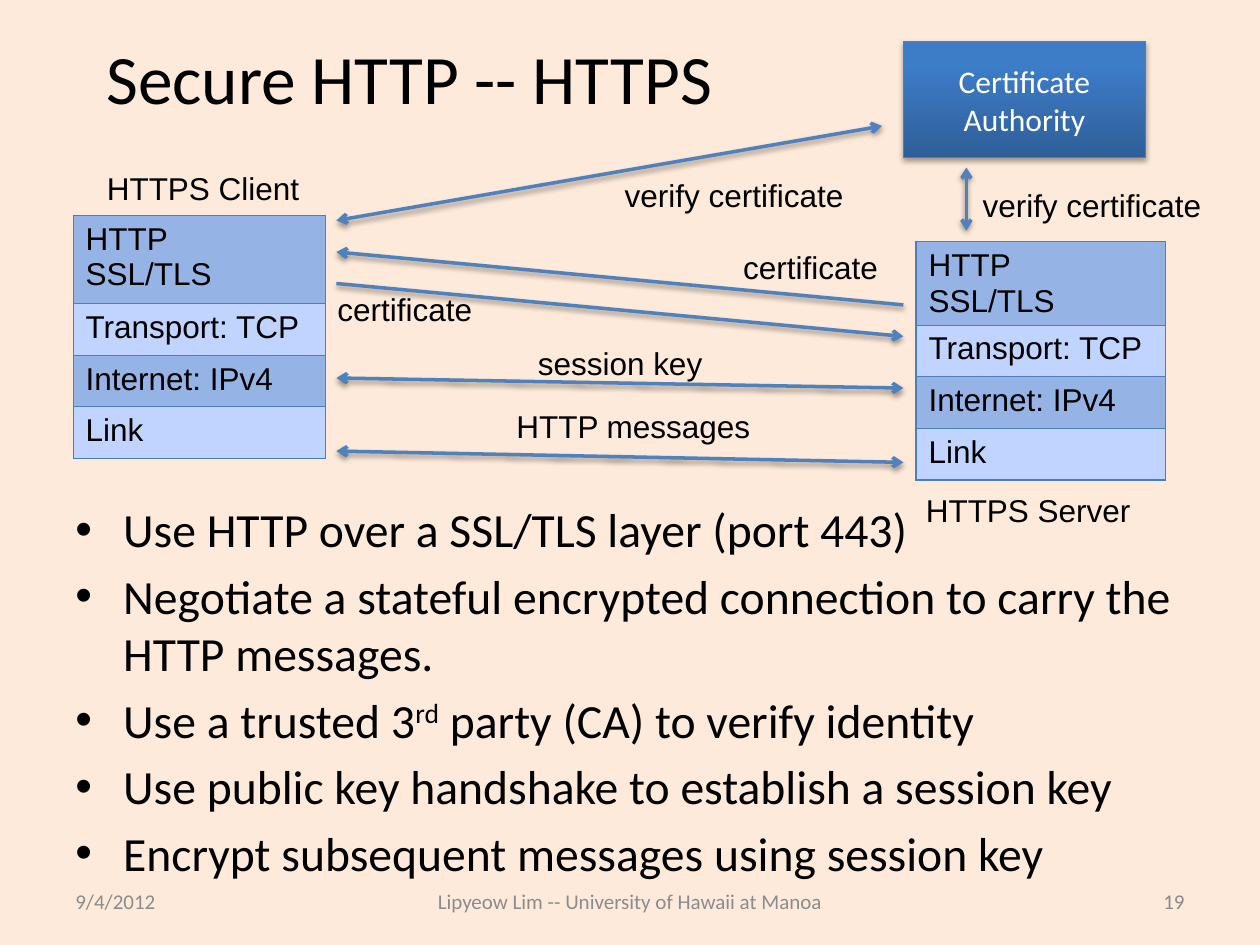
"""Build the slide on secure HTTP with its handshake diagram."""
from lxml import etree
from pptx import Presentation
from pptx.dml.color import RGBColor
from pptx.enum.shapes import MSO_CONNECTOR, MSO_SHAPE
from pptx.enum.text import MSO_ANCHOR, PP_ALIGN
from pptx.oxml import parse_xml
from pptx.oxml.ns import nsdecls, qn
from pptx.util import Inches, Pt

LEFT, CENTER, RIGHT = PP_ALIGN.LEFT, PP_ALIGN.CENTER, PP_ALIGN.RIGHT
TOP, MIDDLE = MSO_ANCHOR.TOP, MSO_ANCHOR.MIDDLE
STRAIGHT, RECT = MSO_CONNECTOR.STRAIGHT, MSO_SHAPE.RECTANGLE
BLUE, EDGE, GREY = "4F81BD", "4B7EBC", "8C8C8C"
BANDS = ["95B3E4", "C0D4FF"]
rgb = RGBColor.from_string


def write(tf, text, size=18, font="Arial", color="000000", align=LEFT,
          anchor=TOP, wrap=True, bullet=False):
    """Write one paragraph a line; text between bars is superscript."""
    tf.word_wrap = wrap
    tf.vertical_anchor = anchor
    for i, line in enumerate(text.split("\n")):
        p = tf.paragraphs[0] if i == 0 else tf.add_paragraph()
        p.alignment = align
        if bullet:
            pPr = p._p.get_or_add_pPr()
            pPr.set("marL", str(Inches(0.38)))
            pPr.set("indent", str(-Inches(0.38)))
            etree.SubElement(pPr, qn("a:buFont"), typeface="Arial")
            etree.SubElement(pPr, qn("a:buChar"), char="•")
            if i:
                p.space_before = Pt(size * 0.2)
        for j, part in enumerate(line.split("|")):
            r = p.add_run()
            r.text = part
            r.font.size = Pt(size)
            r.font.name = font
            r.font.color.rgb = rgb(color)
            if j % 2:
                r.font._element.set("baseline", "30000")


def add_shadow(sp, dist, alpha):
    """Give a shape or connector a soft shadow straight below it."""
    sp._element.spPr.append(parse_xml(
        f'<a:effectLst {nsdecls("a")}><a:outerShdw blurRad="{Pt(3.1)}" '
        f'dist="{Pt(dist)}" dir="5400000" rotWithShape="0"><a:srgbClr val="000000">'
        f'<a:alpha val="{alpha * 1000}"/></a:srgbClr></a:outerShdw></a:effectLst>'))


prs = Presentation()
prs.slide_width, prs.slide_height = Inches(10), Inches(7.5)
s = prs.slides.add_slide(prs.slide_layouts[6])
s.background.fill.solid()
s.background.fill.fore_color.rgb = rgb("FDEADA")

bullets = "\n".join([
    "Use HTTP over a SSL/TLS layer (port 443)",
    "Negotiate a stateful encrypted connection to carry the HTTP messages.",
    "Use a trusted 3|rd| party (CA) to verify identity",
    "Use public key handshake to establish a session key",
    "Encrypt subsequent messages using session key",
])
footer = dict(size=12, font="Calibri", color=GREY, anchor=MIDDLE)
label = dict(wrap=False)
texts = [
    (0.5, 0.3, 5.5, 0.62, "Secure HTTP -- HTTPS",
     dict(size=39.6, font="Calibri", align=CENTER, anchor=MIDDLE)),
    (0.5, 3.92, 9, 3, bullets, dict(size=27.2, font="Calibri", bullet=True)),
    (0.5, 6.95, 2.33, 0.4, "9/4/2012", footer),
    (3, 6.95, 4, 0.4, "Lipyeow Lim -- University of Hawaii at Manoa",
     dict(footer, align=CENTER)),
    (7.17, 6.95, 2.33, 0.4, "19", dict(footer, color="898989", align=RIGHT)),
    (7.25, 3.85, 1.84, 0.4, "HTTPS Server", label),
    (0.75, 1.29, 1.74, 0.4, "HTTPS Client", label),
    (5.8, 1.92, 1.28, 0.4, "certificate", label),
    (2.58, 2.25, 1.28, 0.4, "certificate", label),
    (4.17, 2.68, 1.52, 0.4, "session key", label),
    (4.86, 1.35, 1.97, 0.4, "verify certificate", label),
    (7.7, 1.43, 1.97, 0.4, "verify certificate", label),
    (4, 3.18, 2.08, 0.4, "HTTP messages", label),
]

layers = ["HTTP\nSSL/TLS", "Transport: TCP", "Internet: IPv4", "Link"]
for x, y, w, first_height in [(7.27, 1.92, 1.98, 0.66), (0.58, 1.71, 2, 0.7)]:
    heights = [first_height] + [0.41] * 3
    tbl = s.shapes.add_table(len(layers), 1, Inches(x), Inches(y), Inches(w),
                             Inches(sum(heights))).table
    tbl.first_row = tbl.horz_banding = False
    for i, layer in enumerate(layers):
        tbl.rows[i].height = Inches(heights[i])
        cell = tbl.cell(i, 0)
        write(cell.text_frame, layer)
        cell.fill.solid()
        cell.fill.fore_color.rgb = rgb(BANDS[i % 2])
        for k, side in enumerate(["lnL", "lnR", "lnT", "lnB"]):
            cell._tc.tcPr.insert(k, parse_xml(
                f'<a:{side} {nsdecls("a")} w="{Pt(0.75)}"><a:solidFill>'
                f'<a:srgbClr val="{EDGE}"/></a:solidFill></a:{side}>'))

sp = s.shapes.add_shape(RECT, Inches(7.17), Inches(0.33), Inches(1.92), Inches(0.92))
sp.fill.gradient()
sp.fill.gradient_angle = 90
for stop, position, color in zip(sp.fill.gradient_stops, [0, 0.8], ["2F5F99", "3D7CC7"]):
    stop.position = position
    stop.color.rgb = rgb(color)
sp.line.color.rgb = rgb(EDGE)
sp.line.width = Pt(0.75)
add_shadow(sp, 1.8, 35)
write(sp.text_frame, "Certificate Authority", font="Calibri", color="FFFFFF",
      align=CENTER, anchor=MIDDLE)

one_way, two_way = ["tailEnd"], ["headEnd", "tailEnd"]
arrows = [
    (7.17, 2.42, 2.67, 2, one_way),
    (2.67, 2.25, 7.17, 2.67, one_way),
    (2.67, 1.75, 7, 1, two_way),
    (7.67, 1.33, 7.67, 1.83, two_way),
    (2.67, 3, 7.17, 3.08, two_way),
    (2.67, 3.58, 7.17, 3.67, two_way),
]
for x1, y1, x2, y2, ends in arrows:
    cxn = s.shapes.add_connector(STRAIGHT, Inches(x1), Inches(y1), Inches(x2), Inches(y2))
    cxn.line.color.rgb = rgb(BLUE)
    cxn.line.width = Pt(2)
    for end in ends:
        etree.SubElement(cxn.line._get_or_add_ln(), qn(f"a:{end}"), type="arrow")
    add_shadow(cxn, 1.6, 38)

for x, y, w, h, text, style in texts:
    box = s.shapes.add_textbox(Inches(x), Inches(y), Inches(w), Inches(h))
    write(box.text_frame, text, **style)

prs.save("out.pptx")
